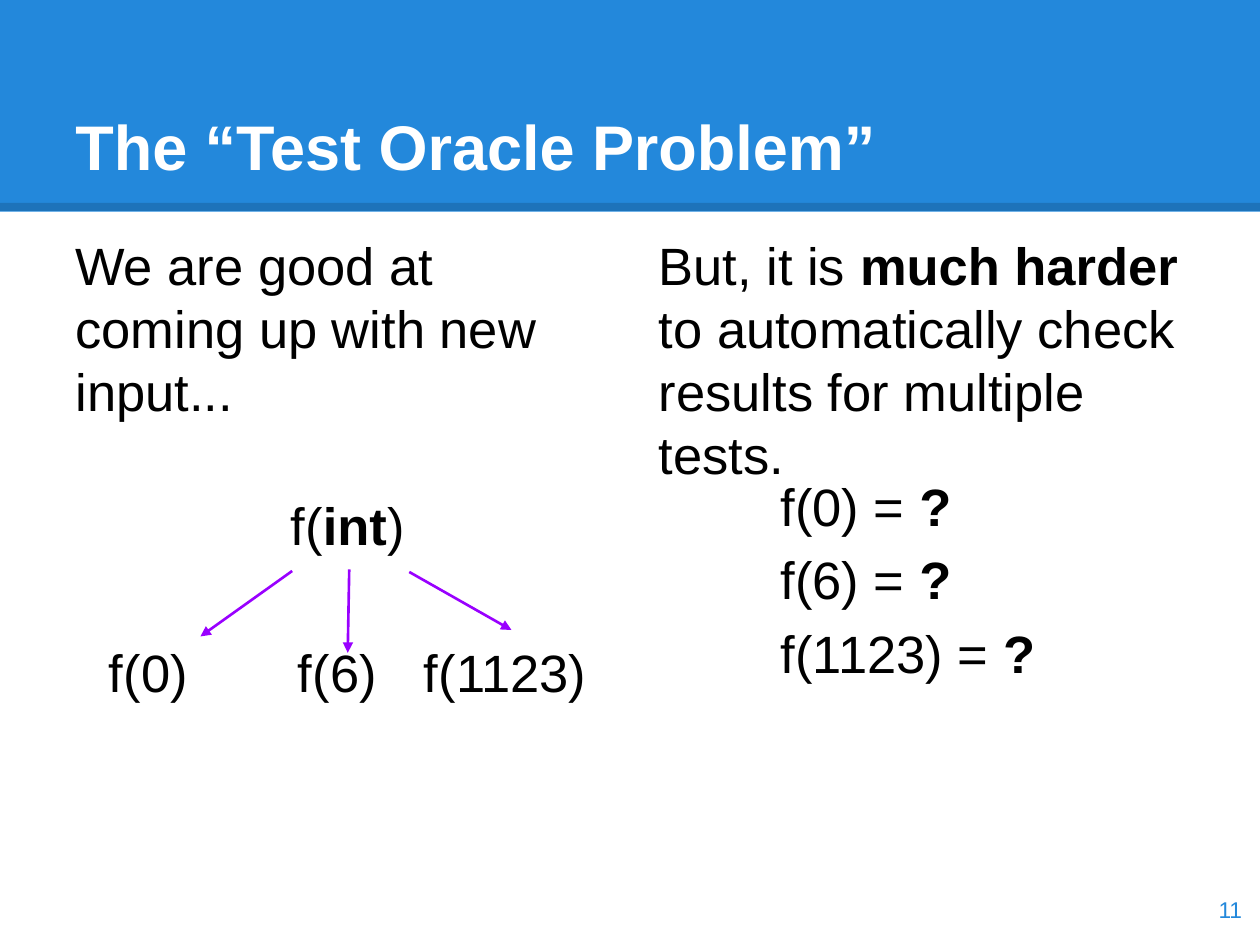
from lxml.etree import SubElement
from pptx import Presentation
from pptx.dml.color import RGBColor
from pptx.enum.shapes import MSO_CONNECTOR, MSO_SHAPE
from pptx.enum.text import MSO_ANCHOR, MSO_AUTO_SIZE, PP_ALIGN
from pptx.oxml.ns import qn
from pptx.util import Cm, Pt

BLUE, PURPLE, BLACK, WHITE = "2388DB", "9900FF", "000000", "FFFFFF"
TAB_STEP = Cm(2.54)


def color(hex_string):
    return RGBColor.from_string(hex_string)


def place(shape, left, top, width, height):
    shape.left, shape.top = Cm(left), Cm(top)
    shape.width, shape.height = Cm(width), Cm(height)


def write_text(shape, paragraphs, size=30, ink=BLACK, bold=False, align=PP_ALIGN.LEFT,
               anchor=MSO_ANCHOR.TOP, line_height=None, gap=0, tab_count=0):
    """Fill a shape; each paragraph is a list of pieces, and every second piece is bold."""
    frame = shape.text_frame
    frame.word_wrap = True
    frame.auto_size = MSO_AUTO_SIZE.NONE
    frame.vertical_anchor = anchor
    frame.margin_left = frame.margin_right = Cm(0.25)
    frame.margin_top = frame.margin_bottom = Cm(0.25)
    for index, pieces in enumerate(paragraphs):
        paragraph = frame.add_paragraph() if index else frame.paragraphs[0]
        paragraph.alignment = align
        paragraph.space_before = Pt(gap if index else 0)
        if line_height:
            paragraph.line_spacing = Pt(line_height)
        properties = paragraph._p.get_or_add_pPr()
        properties.set("marL", "0")
        properties.set("indent", "0")
        SubElement(properties, qn("a:buNone"))
        if tab_count:
            tabs = SubElement(properties, qn("a:tabLst"))
            for stop in range(1, tab_count + 1):
                SubElement(tabs, qn("a:tab"), pos=str(stop * TAB_STEP), algn="l")
        for number, piece in enumerate(pieces):
            run = paragraph.add_run()
            run.text = piece
            run.font.name = "Arial"
            run.font.size = Pt(size)
            run.font.bold = bold or number % 2 == 1
            run.font.color.rgb = color(ink)


def add_text(slide, box, paragraphs, **text_format):
    shape = slide.shapes.add_textbox(*map(Cm, box))
    write_text(shape, paragraphs, **text_format)


def add_line(slide, start, end, ink, width):
    line = slide.shapes.add_connector(MSO_CONNECTOR.STRAIGHT, *map(Cm, start + end))
    line.line.color.rgb = color(ink)
    line.line.width = Pt(width)
    SubElement(line._element.spPr, qn("a:effectLst"))
    return line


def add_arrow(slide, start, end):
    arrow = add_line(slide, start, end, PURPLE, 1.5)
    SubElement(arrow.line._get_or_add_ln(), qn("a:tailEnd"), type="triangle")


def add_header(slide):
    band = slide.shapes.add_shape(MSO_SHAPE.RECTANGLE, 0, 0, Cm(25.4), Cm(4.27))
    band.shadow.inherit = False
    band.fill.solid()
    band.fill.fore_color.rgb = color(BLUE)
    band.line.fill.background()

    edge = add_line(slide, (0, 4.17), (25.4, 4.17), BLACK, 4.5)
    ink = edge.line._get_or_add_ln().find(".//" + qn("a:srgbClr"))
    SubElement(ink, qn("a:alpha"), val="15000")

    # Send both behind the placeholders
    for position, shape in enumerate((band, edge), start=2):
        slide.shapes.element.insert(position, shape._element)


def main():
    presentation = Presentation()
    presentation.slide_width, presentation.slide_height = Cm(25.4), Cm(19.05)
    slide = presentation.slides.add_slide(presentation.slide_layouts[3])
    title, left_body, right_body = slide.placeholders

    # Header and title
    add_header(slide)
    place(title, 1.27, 0.76, 22.86, 3.18)
    write_text(title, [["The “Test Oracle Problem”"]], size=36, ink=WHITE, bold=True,
               anchor=MSO_ANCHOR.BOTTOM)

    # Two columns
    place(left_body, 1.27, 4.45, 11.1, 13.79)
    write_text(left_body, [["We are good at coming up with new input..."]], line_height=36)
    place(right_body, 13.03, 4.45, 11.1, 13.79)
    write_text(right_body, [["But, it is ", "much harder ",
                             "to automatically check results for multiple tests."]],
               line_height=36)

    # Function and its generated inputs
    add_text(slide, (1.27, 9.68, 11.48, 3.51),
             [["f(", "int", ")"], ["f(0)\t\tf(6)\tf(1123)"]],
             align=PP_ALIGN.CENTER, line_height=36, gap=48, tab_count=3)
    for start, end in (((5.89, 11.51), (4.04, 12.83)),
                       ((7.04, 11.48), (7.01, 13.16)),
                       ((8.25, 11.53), (10.31, 12.7))):
        add_arrow(slide, start, end)

    # Unknown results
    add_text(slide, (15.49, 9.3, 6.93, 5.61),
             [[f"f({value}) = ", "?"] for value in (0, 6, 1123)],
             line_height=36, gap=6)

    # Slide number
    add_text(slide, (23.77, 17.6, 1.52, 1.45), [["11"]], size=13, ink=BLUE,
             align=PP_ALIGN.RIGHT, anchor=MSO_ANCHOR.MIDDLE)

    presentation.save("out.pptx")


if __name__ == "__main__":
    main()
